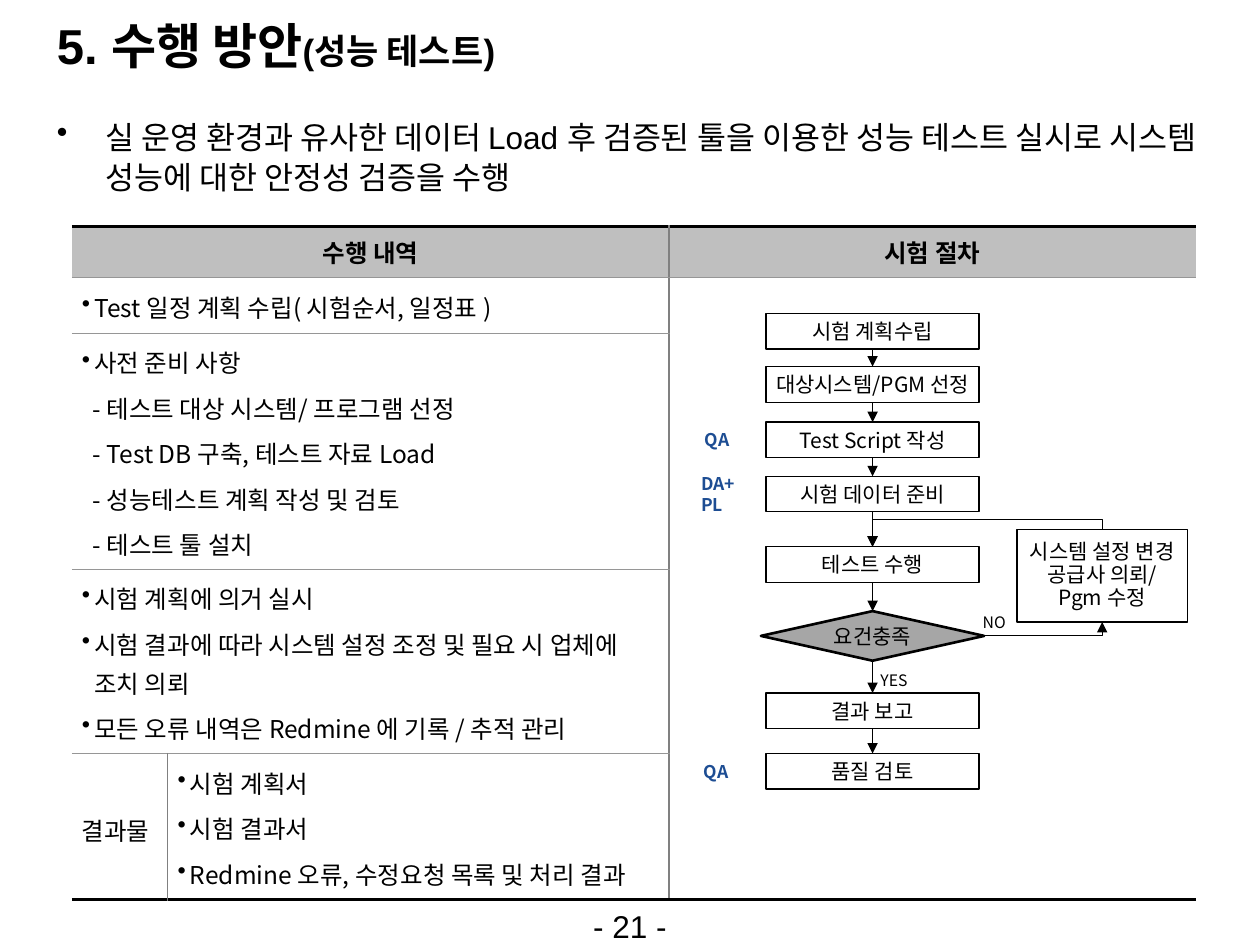
from dataclasses import dataclass

from pptx import Presentation
from pptx.dml.color import RGBColor
from pptx.enum.shapes import MSO_CONNECTOR as Link, MSO_SHAPE as Kind
from pptx.enum.text import MSO_ANCHOR as Anchor, PP_ALIGN as Align
from pptx.oxml.ns import qn
from pptx.oxml.xmlchemy import OxmlElement as Node
from pptx.util import Cm, Pt


@dataclass(frozen=True)
class Theme:
    ink: str = "000000"
    blue: str = "1D4D93"
    head: str = "BFBFBF"
    gem: str = "A6A6A6"
    hair: str = "969696"
    rule: str = "808080"
    sans: str = "Arial"
    hangul: str = "Noto Sans CJK KR"
    title: int = 28
    minor: int = 20
    body: int = 18
    cell: int = 14
    step: int = 12
    role: int = 10
    mark: int = 9


@dataclass(frozen=True)
class Box:
    x: float
    y: float
    w: float
    h: float

    def inner(self, x, y, w, h):
        return Box(self.x + x, self.y + y, w, h)

    def cm(self):
        return Cm(self.x), Cm(self.y), Cm(self.w), Cm(self.h)


T = Theme()


def style(run, size, color=T.ink, bold=False, face=T.hangul):
    font = run.font
    font.size, font.bold, font.name = Pt(size), bold, face
    font.color.rgb = RGBColor.from_string(color)
    east = Node("a:ea")
    east.set("typeface", T.hangul)
    run._r.rPr.find(qn("a:latin")).addnext(east)


def indent(para, left, hang=0.0, bullet=False):
    props = para._p.get_or_add_pPr()
    props.set("marL", str(Cm(left)))
    props.set("indent", str(-Cm(hang)))
    if bullet:
        char = Node("a:buChar")
        char.set("char", "•")
        props.append(char)


def write(frame, text, size, align=Align.LEFT, lead=None, **look):
    frame.text = text
    for para in frame.paragraphs:
        para.alignment = align
        if lead:
            para.line_spacing = lead
        for run in para.runs:
            style(run, size, **look)


def label(slide, box, text, size, anchor=Anchor.MIDDLE, wrap=True, pad=None, **look):
    frame = slide.shapes.add_textbox(*box.cm()).text_frame
    frame.word_wrap, frame.vertical_anchor = wrap, anchor
    if pad is not None:
        frame.margin_left = frame.margin_right = Cm(pad)
        frame.margin_top = frame.margin_bottom = Cm(pad)
    write(frame, text, size, **look)
    return frame


def heading(slide, box):
    frame = label(slide, box, "5. 수행 방안", T.title, bold=True, face=T.sans)
    run = frame.paragraphs[0].add_run()
    run.text = "(성능 테스트)"
    style(run, T.minor, bold=True, face=T.sans)


def summary(slide, box):
    text = ("실 운영 환경과 유사한 데이터 Load 후 검증된 툴을 이용한 "
            "성능 테스트 실시로 시스템 성능에 대한 안정성 검증을 수행")
    frame = label(slide, box, text, T.body, Anchor.TOP, lead=1.08, face=T.sans)
    frame.margin_top = Cm(0.18)
    indent(frame.paragraphs[0], 0.97, 0.97, bullet=True)


def edge(cell, side, line):
    """Draw one border; line is (color, points) or None."""
    node = Node("a:ln" + side)
    if line:
        color, width = line
        node.set("w", str(Pt(width)))
        fill, tone = Node("a:solidFill"), Node("a:srgbClr")
        tone.set("val", color)
        fill.append(tone)
    else:
        fill = Node("a:noFill")
    node.append(fill)
    cell._tc.get_or_add_tcPr().append(node)


def tasks(cell, lines):
    """Fill a cell; lines that open with a dash are sub-items."""
    write(cell.text_frame, "\n".join(lines), T.cell, lead=1.1)
    for num, para in enumerate(cell.text_frame.paragraphs):
        if num:
            para.space_before = Pt(3.5)
        if para.text.startswith("-"):
            indent(para, 0.22)
        else:
            indent(para, 0.25, 0.25, bullet=True)


def plan(slide, box):
    cols = [1.93, 10.11, 10.61]
    rows = [0.98, 1.13, 4.72, 1.85, 1.85, 2.94]
    grid = slide.shapes.add_table(len(rows), len(cols), *box.cm()).table
    grid.first_row = grid.horz_banding = False
    for col, width in zip(grid.columns, cols):
        col.width = Cm(width)
    for row, height in zip(grid.rows, rows):
        row.height = Cm(height)

    thick, hair, rule = (T.ink, 2.25), (T.hair, 0.75), (T.rule, 1)
    last = len(rows) - 1
    for r in range(len(rows)):
        for c in range(len(cols)):
            cell = grid.cell(r, c)
            left = c < 2
            edge(cell, "L", rule if c else None)
            edge(cell, "R", rule if left else None)
            edge(cell, "T", thick if r == 0 else hair if left or r == 1 else None)
            edge(cell, "B", thick if r == last else hair if left or r == 0 else None)
            if r == 0:
                cell.fill.solid()
                cell.fill.fore_color.rgb = RGBColor.from_string(T.head)
            else:
                cell.fill.background()
            cell.vertical_anchor = Anchor.MIDDLE
            cell.margin_left = cell.margin_right = Cm(0.2)
            cell.margin_top = cell.margin_bottom = Cm(0.15)

    for first, end in ((0, 0), (1, 1), (2, 2), (3, 4)):
        grid.cell(first, 0).merge(grid.cell(end, 1))
    for c, text in ((0, "수행 내역"), (2, "시험 절차")):
        write(grid.cell(0, c).text_frame, text, T.cell, Align.CENTER, bold=True)
    tasks(grid.cell(1, 0), ["Test 일정 계획 수립( 시험순서, 일정표 )"])
    tasks(grid.cell(2, 0), ["사전 준비 사항", "- 테스트 대상 시스템/ 프로그램 선정",
                            "- Test DB 구축, 테스트 자료 Load",
                            "- 성능테스트 계획 작성 및 검토", "- 테스트 툴 설치"])
    tasks(grid.cell(3, 0), ["시험 계획에 의거 실시",
                            "시험 결과에 따라 시스템 설정 조정 및 필요 시 업체에 조치 의뢰",
                            "모든 오류 내역은 Redmine 에 기록 / 추적 관리"])
    write(grid.cell(5, 0).text_frame, "결과물", T.cell, lead=1.2)
    tasks(grid.cell(5, 1), ["시험 계획서", "시험 결과서",
                            "Redmine 오류, 수정요청 목록 및 처리 결과"])


def block(slide, box, text, kind=Kind.RECTANGLE, fill=None, width=0.75, lead=None):
    shape = slide.shapes.add_shape(kind, *box.cm())
    shape.shadow.inherit = False
    if fill:
        shape.fill.solid()
        shape.fill.fore_color.rgb = RGBColor.from_string(fill)
    else:
        shape.fill.background()
    shape.line.color.rgb = RGBColor.from_string(T.ink)
    shape.line.width = Pt(width)
    shape.text_frame.word_wrap = False
    shape.text_frame.vertical_anchor = Anchor.MIDDLE
    write(shape.text_frame, text, T.step, Align.CENTER, lead)
    return shape


def arrow(slide, kind, x1, y1, x2, y2):
    link = slide.shapes.add_connector(kind, Cm(x1), Cm(y1), Cm(x2), Cm(y2))
    link.line.color.rgb = RGBColor.from_string(T.ink)
    link.line.width = Pt(0.75)
    tip = Node("a:tailEnd")
    tip.set("type", "triangle")
    link.line._get_or_add_ln().append(tip)
    link._element.spPr.append(Node("a:effectLst"))
    return link


def flow(slide, box):
    wide, high, mid = 4.29, 0.72, 4.1
    steps = [("시험 계획수립", 0.72), ("대상시스템/PGM 선정", 1.79),
             ("Test Script 작성", 2.91), ("시험 데이터 준비", 4.0),
             ("테스트 수행", 5.42), ("요건충족", 6.72),
             ("결과 보고", 8.37), ("품질 검토", 9.59)]
    chain = []
    for text, top in steps:
        if text == "요건충족":
            spot = box.inner(mid - 2.25, top, 4.5, 1)
            chain.append(block(slide, spot, text, Kind.FLOWCHART_DECISION, T.gem, 1.5))
        else:
            chain.append(block(slide, box.inner(mid - wide / 2, top, wide, high), text))
    for above, below in zip(chain, chain[1:]):
        link = arrow(slide, Link.STRAIGHT, 0, 0, 0, 0)
        link.begin_connect(above, 2)
        link.end_connect(below, 0)

    fix = box.inner(7.01, 5.07, 3.44, 1.87)
    block(slide, fix, "시스템 설정 변경\n공급사 의뢰/\nPgm 수정", lead=0.9)
    fix_x, axis = fix.x + fix.w / 2, box.x + mid
    fail = arrow(slide, Link.ELBOW, axis + 2.25, box.y + 7.22, fix_x, fix.y + fix.h)
    fail._element.spPr.find(qn("a:prstGeom")).set("prst", "bentConnector2")

    # The way back leaves upwards, so the elbow is laid out upright and turned 270°.
    goal = box.y + 5.42
    x, y = (fix_x + axis) / 2, (fix.y + goal) / 2
    run, drop = (fix_x - axis) / 2, (goal - fix.y) / 2
    back = arrow(slide, Link.ELBOW, x + drop, y + run, x - drop, y - run)
    props = back._element.spPr
    props.find(qn("a:xfrm")).set("rot", str(270 * 60000))
    bend = Node("a:gd")
    bend.set("name", "adj1")
    bend.set("fmla", "val -57000")
    props.find(qn("a:prstGeom")).get_or_add_avLst().append(bend)

    for text, left, top in (("YES", 4.26, 7.76), ("NO", 6.32, 6.59)):
        label(slide, box.inner(left, top, 1.19, 0.71), text, T.mark, pad=0)
    for text, left, top in (("QA", 0.47, 2.91), ("DA+PL", 0.4, 4.0), ("QA", 0.45, 9.59)):
        label(slide, box.inner(left, top, 1.24, high), text, T.role, wrap=False,
              color=T.blue, bold=True)


def main():
    deck = Presentation()
    deck.slide_width, deck.slide_height = Cm(25.4), Cm(19.05)
    slide = deck.slides.add_slide(deck.slide_layouts[6])
    plan(slide, Box(1.45, 4.57, 22.65, 13.47))
    heading(slide, Box(0.9, 0.13, 23.6, 1.57))
    summary(slide, Box(0.9, 2.13, 23.6, 14.88))
    label(slide, Box(11, 18.16, 3.4, 0.89), "- 21 -", T.body, Anchor.TOP,
          align=Align.CENTER, face=T.sans)
    flow(slide, Box(13.49, 5.6, 10.61, 12.4))
    deck.save("out.pptx")


if __name__ == "__main__":
    main()
